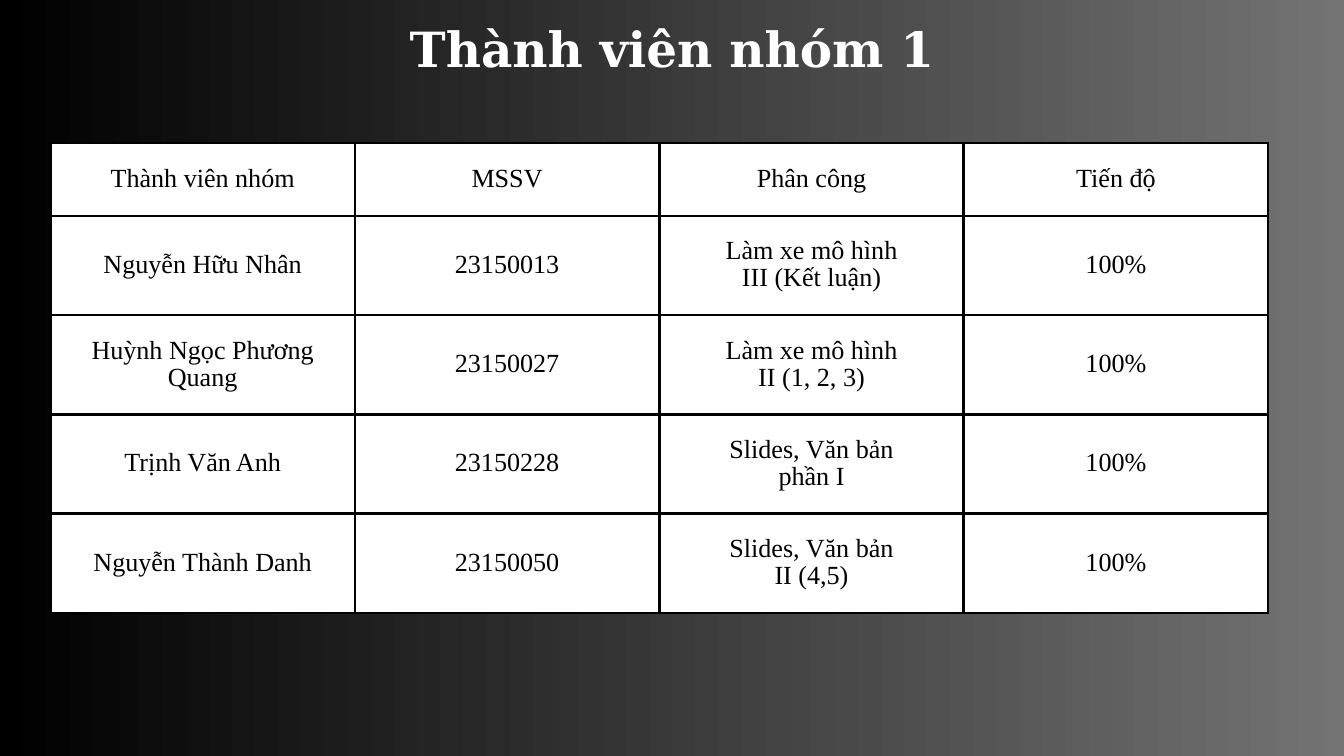
from pptx import Presentation
from pptx.util import Pt
from pptx.dml.color import RGBColor
from pptx.enum.text import PP_ALIGN, MSO_ANCHOR, MSO_AUTO_SIZE
from pptx.oxml import parse_xml
from pptx.oxml.ns import nsdecls

HUES = {"black": "000000", "gray": "737373", "white": "FFFFFF"}


def write(frame, text, font, size, hue, lead, bold=False, inset=0):
    """Fill a text frame with centred lines, one paragraph per line."""
    frame.word_wrap = True
    for i, line in enumerate(text.split("\n")):
        para = frame.paragraphs[0] if i == 0 else frame.add_paragraph()
        para.alignment = PP_ALIGN.CENTER
        para.line_spacing = Pt(lead)
        run = para.add_run()
        run.text = line
        run.font.name = font
        run.font.size = Pt(size)
        run.font.bold = bold
        run.font.color.rgb = RGBColor.from_string(HUES[hue])
    frame.margin_left = frame.margin_right = Pt(inset)
    frame.margin_top = frame.margin_bottom = Pt(inset)


def border(cell, width, hue):
    """Draw a solid line on all four sides of a cell."""
    props = cell._tc.get_or_add_tcPr()
    for i, side in enumerate(("lnL", "lnR", "lnT", "lnB")):
        props.insert(i, parse_xml(
            f'<a:{side} {nsdecls("a")} w="{Pt(width)}"><a:solidFill>'
            f'<a:srgbClr val="{HUES[hue]}"/></a:solidFill></a:{side}>'))


deck = Presentation()
deck.slide_width, deck.slide_height = Pt(1440), Pt(810)
slide = deck.slides.add_slide(deck.slide_layouts[6])

# Background fading from left to right
fill = slide.background.fill
fill.gradient()
fill.gradient_angle = 0
for stop, hue in zip(fill.gradient_stops, ("black", "gray")):
    stop.color.rgb = RGBColor.from_string(HUES[hue])

# Title
title = slide.shapes.add_textbox(Pt(433.5), Pt(9.4), Pt(573), Pt(71.3))
write(title.text_frame, "Thành viên nhóm 1", font="DejaVu Serif", size=52,
      hue="white", lead=72.8, bold=True)
title.text_frame.auto_size = MSO_AUTO_SIZE.SHAPE_TO_FIT_TEXT

# Member table
rows = [
    ("Thành viên nhóm", "MSSV", "Phân công", "Tiến độ"),
    ("Nguyễn Hữu Nhân", "23150013", "Làm xe mô hình\nIII (Kết luận)", "100%"),
    ("Huỳnh Ngọc Phương Quang", "23150027",
     "Làm xe mô hình\nII (1, 2, 3)", "100%"),
    ("Trịnh Văn Anh", "23150228", "Slides, Văn bản\nphần I", "100%"),
    ("Nguyễn Thành Danh", "23150050", "Slides, Văn bản\nII (4,5)", "100%"),
]
head, body, wide = 77.8, 106.4, 326.2
count = len(rows[0])
table = slide.shapes.add_table(
    len(rows), count, Pt(54), Pt(153.4),
    Pt(wide * count), Pt(head + body * (len(rows) - 1))).table
for col in table.columns:
    col.width = Pt(wide)
for r, row in enumerate(rows):
    table.rows[r].height = Pt(body if r else head)
    for c, text in enumerate(row):
        cell = table.cell(r, c)
        write(cell.text_frame, text, font="Times New Roman", size=28,
              hue="black", lead=28.8)
        cell.margin_left = cell.margin_right = Pt(15)
        cell.margin_top = cell.margin_bottom = Pt(15)
        cell.vertical_anchor = MSO_ANCHOR.MIDDLE
        cell.fill.solid()
        cell.fill.fore_color.rgb = RGBColor.from_string(HUES["white"])
        border(cell, width=3, hue="black")

deck.save("out.pptx")
